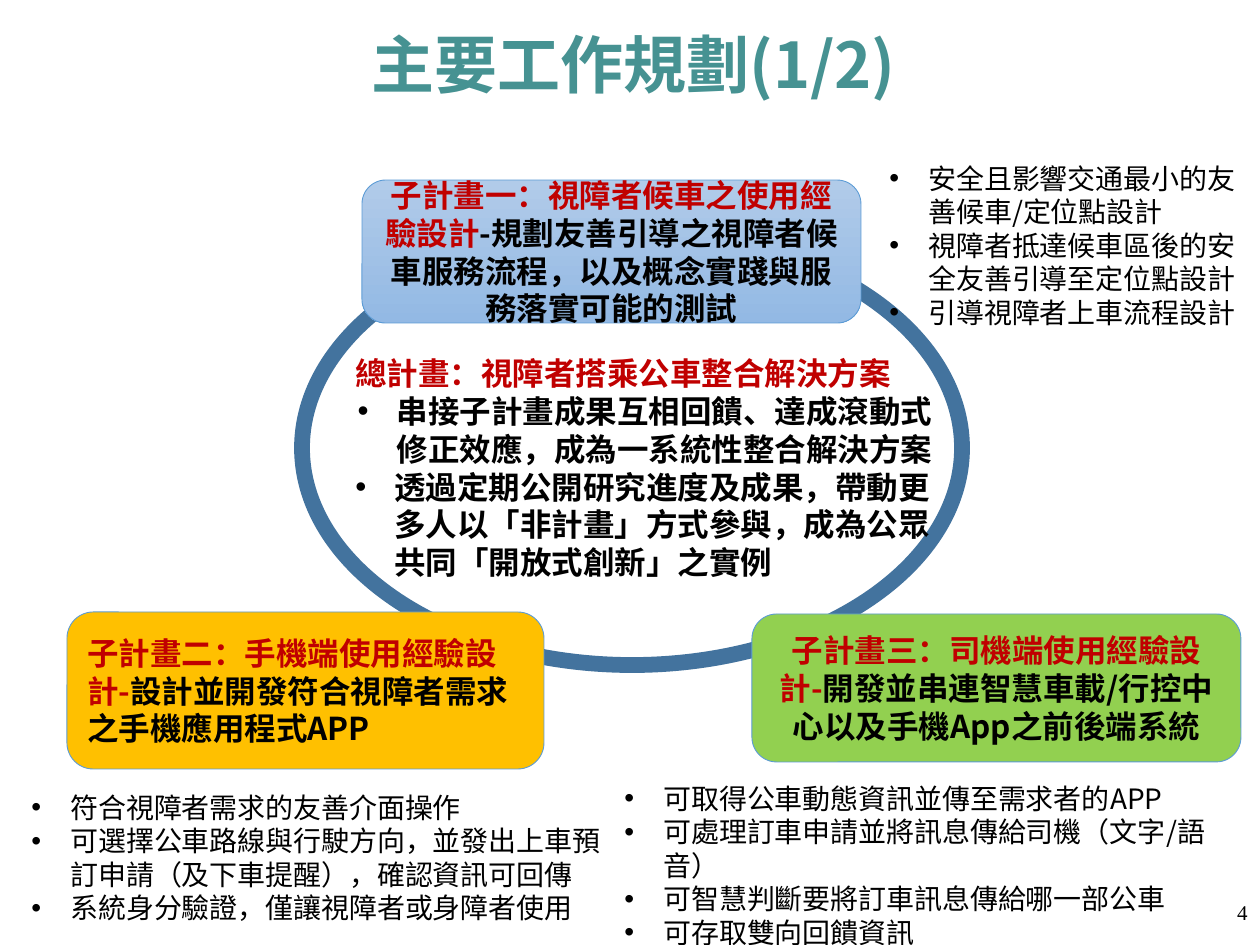
from lxml import etree
from pptx import Presentation
from pptx.dml.color import RGBColor
from pptx.enum.shapes import MSO_SHAPE
from pptx.enum.text import MSO_ANCHOR, PP_ALIGN
from pptx.oxml.ns import qn
from pptx.util import Emu, Pt

OVAL, ROUNDED = MSO_SHAPE.OVAL, MSO_SHAPE.ROUNDED_RECTANGLE
TOP, MIDDLE = MSO_ANCHOR.TOP, MSO_ANCHOR.MIDDLE
LEFT, CENTER, RIGHT = PP_ALIGN.LEFT, PP_ALIGN.CENTER, PP_ALIGN.RIGHT
EMU_PER_PX = 914400 / 126
SANS, SERIF = "Noto Sans CJK SC", "Times New Roman"
RED, BLACK, TEAL = "C00000", "000000", "469292"
INDENT = 39
LINE_RATIO = 1.2


def px(length):
    """Turn pixels into EMU."""
    return Emu(round(length * EMU_PER_PX))


def color(code):
    """Turn a hex string into a colour."""
    return RGBColor.from_string(code)


def add_span(para, text, size, code, bold=False, face=SANS):
    """Add one styled run, with the face set for both scripts."""
    span = para.add_run()
    span.text = text
    font = span.font
    font.size, font.bold, font.name = Pt(size), bold, face
    font.color.rgb = color(code)
    east_asian = etree.SubElement(font._element, qn("a:ea"))
    east_asian.set("typeface", face)


def add_bullet(para):
    """Give a paragraph a hanging round bullet."""
    props = para._p.get_or_add_pPr()
    props.set("marL", str(px(INDENT)))
    props.set("indent", str(-px(INDENT)))
    etree.SubElement(props, qn("a:buFont")).set("typeface", "Arial")
    etree.SubElement(props, qn("a:buChar")).set("char", "•")


def fill_text(shape, paras, size, anchor=TOP, bold=False, face=SANS):
    """Write paragraphs given as (alignment, bulleted, [(text, colour)])."""
    frame = shape.text_frame
    frame.word_wrap = True
    frame.vertical_anchor = anchor
    for index, (alignment, bulleted, spans) in enumerate(paras):
        para = frame.add_paragraph() if index else frame.paragraphs[0]
        if bulleted:
            add_bullet(para)
        para.alignment = alignment
        para.line_spacing = Pt(size * LINE_RATIO)
        for text, code in spans:
            add_span(para, text, size, code, bold, face)


def add_text(page, box, paras, size, **style):
    """Place a text box."""
    shape = page.shapes.add_textbox(*map(px, box))
    fill_text(shape, paras, size, **style)


def add_list(page, box, items):
    """Place a bulleted list of details."""
    add_text(page, box, [(LEFT, True, [(item, BLACK)]) for item in items], 16)


def add_ring(page, box):
    """Place the ring that links the three projects."""
    ring = page.shapes.add_shape(OVAL, *map(px, box))
    ring.shadow.inherit = False
    ring.fill.background()
    ring.line.color.rgb = color("43739E")
    ring.line.width = Pt(9)


def add_project(page, box, fills, name, goal, alignment=CENTER):
    """Place a project card with a plain or a two-colour fill."""
    card = page.shapes.add_shape(ROUNDED, *map(px, box))
    card.shadow.inherit = False
    if len(fills) == 1:
        card.fill.solid()
        card.fill.fore_color.rgb = color(fills[0])
    else:
        card.fill.gradient()
        card.fill.gradient_angle = 270
        for stop, code, position in zip(card.fill.gradient_stops, fills, (0, 1)):
            stop.color.rgb = color(code)
            stop.position = position
    card.line.color.rgb = color("5B9BD5")
    card.line.width = Pt(0.5)
    spans = [(name, RED), (goal, BLACK)]
    fill_text(card, [(alignment, False, spans)], 18, anchor=MIDDLE, bold=True)


def add_overview(page, box):
    """Place the main project inside the ring."""
    add_text(page, box, [
        (LEFT, False, [("總計畫：視障者搭乘公車整合解決方案", RED)]),
        (CENTER, True, [("串接子計畫成果互相回饋、達成滾動式修正效應，成為一系統性整合解決方案", BLACK)]),
        (LEFT, True, [("透過定期公開研究進度及成果，帶動更多人以「非計畫」方式參與，"
                       "成為公眾共同「開放式創新」之實例", BLACK)]),
    ], 18, bold=True)


def build_plan(page):
    """Lay out the work plan slide."""
    add_ring(page, (302, 231, 660, 434))
    add_text(page, (976, 893, 284, 50), [(RIGHT, False, [("4", BLACK)])], 12, face=SERIF)
    add_project(page, (362, 180, 499, 143), ("B1CBE9", "93B9E4"),
                "子計畫一：視障者候車之使用經驗設計",
                "-規劃友善引導之視障者候車服務流程，以及概念實踐與服務落實可能的測試")
    add_project(page, (752, 614, 489, 148), ("92D050",),
                "子計畫三：司機端使用經驗設計-",
                "開發並串連智慧車載/行控中心以及手機App之前後端系統")
    add_project(page, (67, 612, 477, 157), ("FFC000",),
                "子計畫二：手機端使用經驗設計-",
                "設計並開發符合視障者需求之手機應用程式APP", LEFT)
    add_overview(page, (343, 348, 604, 280))
    add_text(page, (64, 8, 1139, 110), [(CENTER, False, [("主要工作規劃(1/2)", TEAL)])],
             36, anchor=MIDDLE, bold=True)
    add_list(page, (877, 155, 392, 183), (
        "安全且影響交通最小的友善候車/定位點設計",
        "視障者抵達候車區後的安全友善引導至定位點設計",
        "引導視障者上車流程設計",
    ))
    add_list(page, (19, 784, 607, 149), (
        "符合視障者需求的友善介面操作",
        "可選擇公車路線與行駛方向，並發出上車預訂申請（及下車提醒），確認資訊可回傳",
        "系統身分驗證，僅讓視障者或身障者使用",
    ))
    add_list(page, (612, 775, 645, 149), (
        "可取得公車動態資訊並傳至需求者的APP",
        "可處理訂車申請並將訊息傳給司機（文字/語音）",
        "可智慧判斷要將訂車訊息傳給哪一部公車",
        "可存取雙向回饋資訊",
    ))


def main():
    """Build and save the deck."""
    deck = Presentation()
    deck.slide_width, deck.slide_height = px(1260), px(945)
    build_plan(deck.slides.add_slide(deck.slide_layouts[6]))
    deck.save("out.pptx")


if __name__ == "__main__":
    main()
